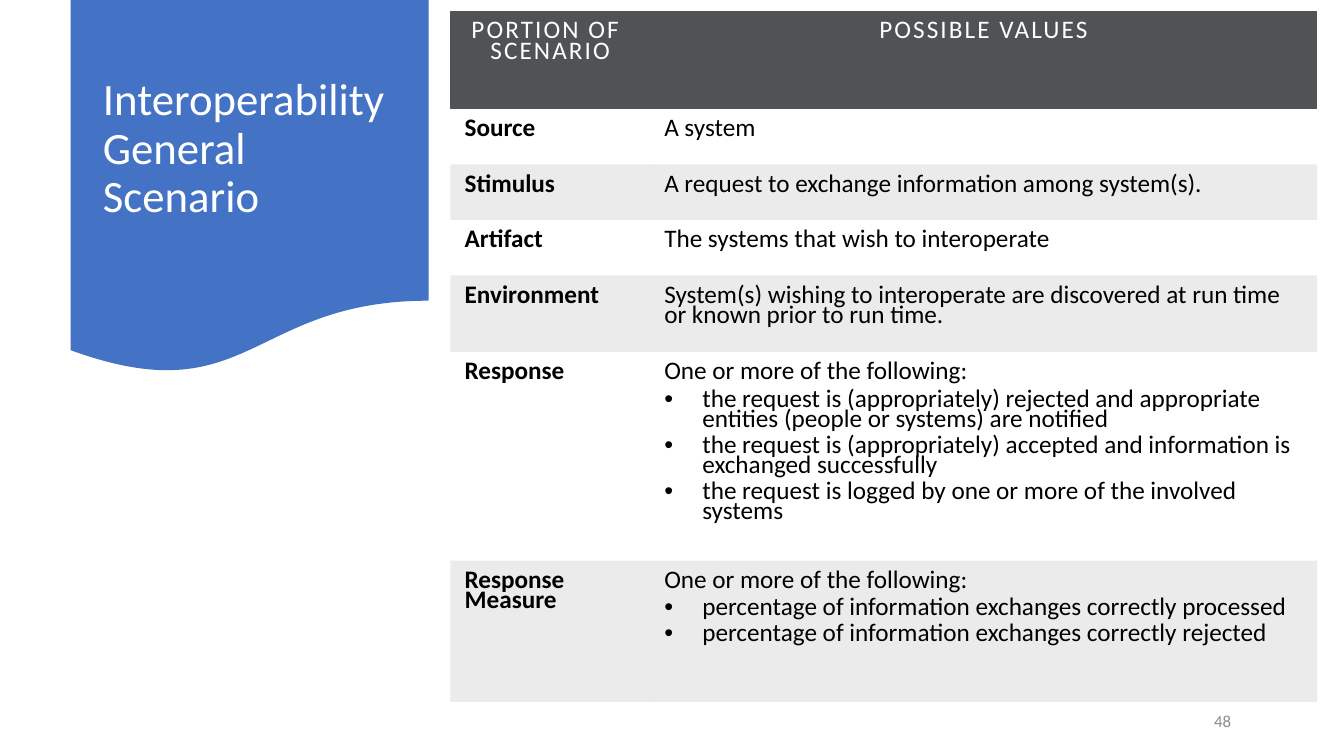
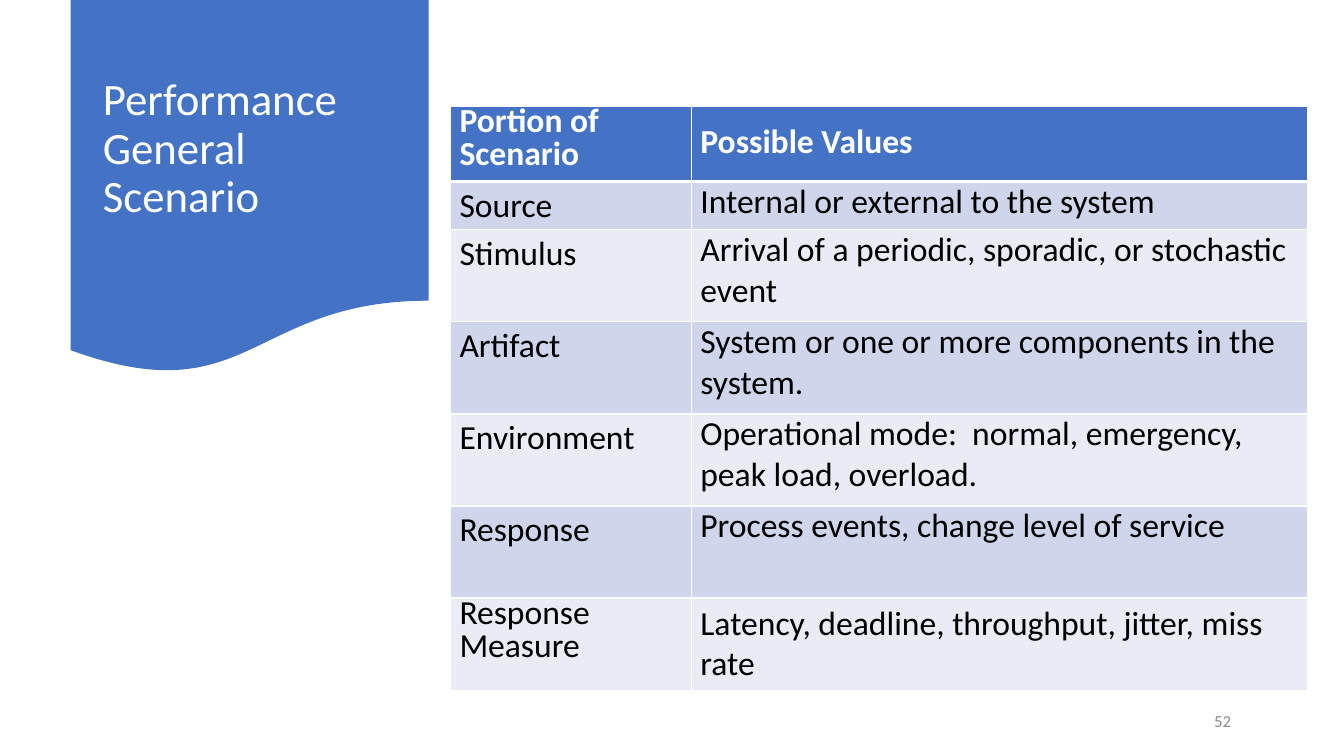
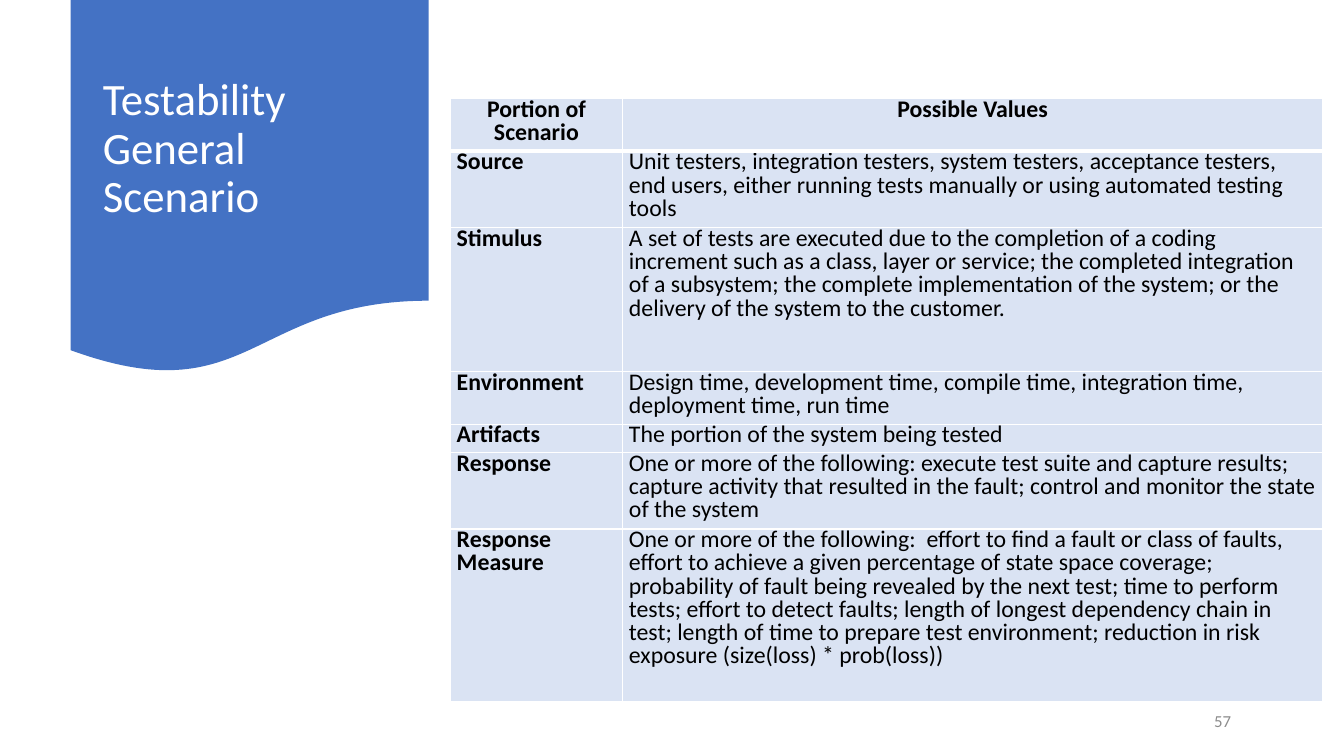
from dataclasses import dataclass
from lxml import etree
from pptx import Presentation
from pptx import util as u
from pptx.dml.color import RGBColor
from pptx.enum import shapes, text
from pptx.oxml.ns import qn

FONT = "Calibri"
WHITE = RGBColor(0xFF, 0xFF, 0xFF)
BLACK = RGBColor(0, 0, 0)
BLUE = RGBColor(0x44, 0x72, 0xC4)
SLATE = RGBColor(0x50, 0x53, 0x56)
GRAY = RGBColor(0x8C, 0x8C, 0x8C)
MIST = RGBColor(0xCF, 0xD5, 0xEA)
PALE = RGBColor(0xE9, 0xEB, 0xF5)
SKY = RGBColor(0xDA, 0xE3, 0xF3)
MIDDLE = text.MSO_ANCHOR.MIDDLE
LEFT, CENTER = text.PP_ALIGN.LEFT, text.PP_ALIGN.CENTER
PLAIN_GRID = "{2D5ABB26-0587-4C30-8999-92F81FD0307C}"


@dataclass
class Look:
    size: int
    pad: tuple
    fill: RGBColor
    ink: RGBColor
    bands: tuple
    leads: tuple
    align: object = LEFT
    bold: tuple = (True, True)
    track: int = 0
    edge: int = 1


def child(node, tag, **values):
    return etree.SubElement(node, qn(tag), values)


class Deck:
    def __init__(self):
        self.file = Presentation()
        self.file.slide_width = u.Cm(33.87)
        self.file.slide_height = u.Cm(19.05)
        self.slide = None

    def page(self, title, number):
        self.slide = self.file.slides.add_slide(self.file.slide_layouts[5])
        self.title(title)
        self.band()
        self.number(number)

    def place(self, shape, left, top, width, height):
        shape.left, shape.top = u.Cm(left), u.Cm(top)
        shape.width, shape.height = u.Cm(width), u.Cm(height)

    def title(self, words):
        box = self.slide.shapes.title
        self.place(box, 2.34, 0.48, 7.9, 6.58)
        frame = box.text_frame
        frame.word_wrap = True
        frame.auto_size = text.MSO_AUTO_SIZE.NONE
        frame.vertical_anchor = MIDDLE
        line = frame.paragraphs[0]
        line.alignment, line.line_spacing = LEFT, 0.9
        self.letter(line, words, 32, WHITE)

    def band(self):
        flag = self.slide.shapes.add_shape(
            shapes.MSO_SHAPE.FLOWCHART_DOCUMENT, u.Cm(1.78), 0, u.Cm(9.02), u.Cm(9.45))
        flag.shadow.inherit = False
        flag.fill.solid()
        flag.fill.fore_color.rgb = BLUE
        flag.line.fill.background()
        self.slide.shapes.title.element.addprevious(flag.element)

    def number(self, words):
        box = self.slide.shapes.add_textbox(u.Cm(30.35), u.Cm(17.65), u.Cm(1.73), u.Cm(1.02))
        frame = box.text_frame
        frame.word_wrap = True
        frame.vertical_anchor = MIDDLE
        line = frame.paragraphs[0]
        line.space_after = u.Pt(6)
        self.letter(line, words, 12, GRAY)

    def letter(self, line, words, size, ink, bold=False, track=0):
        for index, part in enumerate(words.split("\n")):
            if index:
                line.add_line_break()
            run = line.add_run()
            run.text = part
            font = run.font
            font.name, font.size, font.bold = FONT, u.Pt(size), bold
            font.color.rgb = ink
            if track:
                run._r.get_or_add_rPr().set("spc", str(track))

    def bullet(self, line):
        props = line._p.get_or_add_pPr()
        props.set("marL", str(int(u.Cm(0.96))))
        props.set("indent", str(int(u.Cm(-0.96))))
        child(props, "a:buFont", typeface="Arial")
        child(props, "a:buChar", char="•")

    def edges(self, cell, width, base):
        props = cell._tc.get_or_add_tcPr()
        for side in "LRTB":
            points = base if side == "B" else width
            edge = child(props, f"a:ln{side}", w=str(int(u.Pt(points))))
            if points:
                fill = child(edge, "a:solidFill")
                child(fill, "a:srgbClr", val=str(WHITE))
            else:
                child(edge, "a:noFill")

    def paint(self, cell, color):
        if color is None:
            cell.fill.background()
            return
        cell.fill.solid()
        cell.fill.fore_color.rgb = color
        if color == BLACK:
            tint = cell._tc.tcPr.find(qn("a:solidFill"))[0]
            child(tint, "a:alpha", val="8000")

    def cell(self, cell, words, look, row, col):
        head = row == 0
        side, rise = look.pad
        cell.margin_left = cell.margin_right = u.Cm(side)
        cell.margin_top = cell.margin_bottom = u.Cm(rise)
        self.edges(cell, look.edge, 3 * look.edge if head else look.edge)
        self.paint(cell, look.fill if head else look.bands[(row - 1) % len(look.bands)])
        bold = look.bold[0] if head else look.bold[1] and col == 0
        items = [words] if isinstance(words, str) else words
        for index, item in enumerate(items):
            frame = cell.text_frame
            line = frame.add_paragraph() if index else frame.paragraphs[0]
            if index:
                self.bullet(line)
                line.space_before = u.Pt(1)
            line.space_after = u.Pt(3 if index else 4)
            line.line_spacing = look.leads[0 if head else col + 1]
            line.alignment = look.align if head else LEFT
            self.letter(line, item, look.size, look.ink if head else BLACK,
                        bold, look.track if head else 0)

    def table(self, top, cols, rows, data, look):
        frame = self.slide.shapes.add_table(
            len(rows), len(cols), u.Cm(11.35), u.Cm(top), u.Cm(sum(cols)), u.Cm(sum(rows)))
        grid = frame.table
        grid.first_row = grid.horz_banding = False
        grid._tbl.tblPr.find(qn("a:tableStyleId")).text = PLAIN_GRID
        for col, width in zip(grid.columns, cols):
            col.width = u.Cm(width)
        for row, height in zip(grid.rows, rows):
            row.height = u.Cm(height)
        for row, pair in enumerate(data):
            for col, words in enumerate(pair):
                self.cell(grid.cell(row, col), words, look, row, col)
        return grid


def main():
    deck = Deck()

    deck.page("Interoperability General Scenario", "48")
    look = Look(18, (0.36, 0.36), SLATE, WHITE, (None, BLACK), (u.Pt(14.5),) * 3,
                CENTER, (False, True), 150, 0)
    deck.table(0.28, (5.03, 16.81), (2.46, 1.4, 1.4, 1.4, 1.93, 5.26, 3.56), [
        ("PORTION OF \nSCENARIO", "POSSIBLE VALUES"),
        ("Source", "A system"),
        ("Stimulus", "A request to exchange information among system(s)."),
        ("Artifact", "The systems that wish to interoperate"),
        ("Environment", "System(s) wishing to interoperate are discovered at run time "
                        "or known prior to run time."),
        ("Response", [
            "One or more of the following:",
            "the request is (appropriately) rejected and appropriate entities "
            "(people or systems) are notified",
            "the request is (appropriately) accepted and information is "
            "exchanged successfully",
            "the request is logged by one or more of the involved systems"]),
        ("Response \nMeasure", [
            "One or more of the following:",
            "percentage of information exchanges correctly processed",
            "percentage of information exchanges correctly rejected"]),
    ], look)

    deck.page("Performance General Scenario", "52")
    look = Look(24, (0.23, 0), BLUE, WHITE, (MIST, PALE), (0.8, 1.1, 1.0),
                bold=(True, False))
    grid = deck.table(2.69, (6.07, 15.52), (1.88, 1.22) + (2.32,) * 5, [
        ("Portion of Scenario", "Possible Values"),
        ("Source", "Internal or external to the system"),
        ("Stimulus", "Arrival of a periodic, sporadic, or stochastic event"),
        ("Artifact", "System or one or more components in the system."),
        ("Environment", "Operational mode:  normal, emergency, peak load, overload."),
        ("Response", "Process events, change level of service"),
        ("Response Measure", "Latency, deadline, throughput, jitter, miss rate"),
    ], look)
    for row in (0, 6):
        grid.cell(row, 1).vertical_anchor = MIDDLE
    grid.cell(6, 0).text_frame.paragraphs[0].line_spacing = 0.8

    deck.page("Testability General Scenario", "57")
    look = Look(17, (0.16, 0), SKY, BLACK, (SKY,), (0.8,) * 3, CENTER)
    deck.table(2.49, (4.34, 17.65), (1.32, 1.93, 3.63, 1.32, 0.71, 1.93, 4.34), [
        ("Portion of\nScenario", "Possible Values"),
        ("Source", "Unit testers, integration testers, system testers, acceptance "
                   "testers, end users, either running tests manually or using "
                   "automated testing tools"),
        ("Stimulus", "A set of tests are executed due to the completion of a coding "
                     "increment such as a class, layer or service; the completed "
                     "integration of a subsystem; the complete implementation of the "
                     "system; or the delivery of the system to the customer."),
        ("Environment", "Design time, development time, compile time, integration time, "
                        "deployment time, run time"),
        ("Artifacts", "The portion of the system being tested"),
        ("Response", "One or more of the following: execute test suite and capture "
                     "results; capture activity that resulted in the fault; control and "
                     "monitor the state of the system"),
        ("Response \nMeasure",
         "One or more of the following:  effort to find a fault or class of faults, "
         "effort to achieve a given percentage of state space coverage; probability of "
         "fault being revealed by the next test; time to perform tests; effort to detect "
         "faults; length of longest dependency chain in test; length of time to prepare "
         "test environment; reduction in risk exposure (size(loss) * prob(loss))"),
    ], look)

    deck.file.save("out.pptx")


if __name__ == "__main__":
    main()
